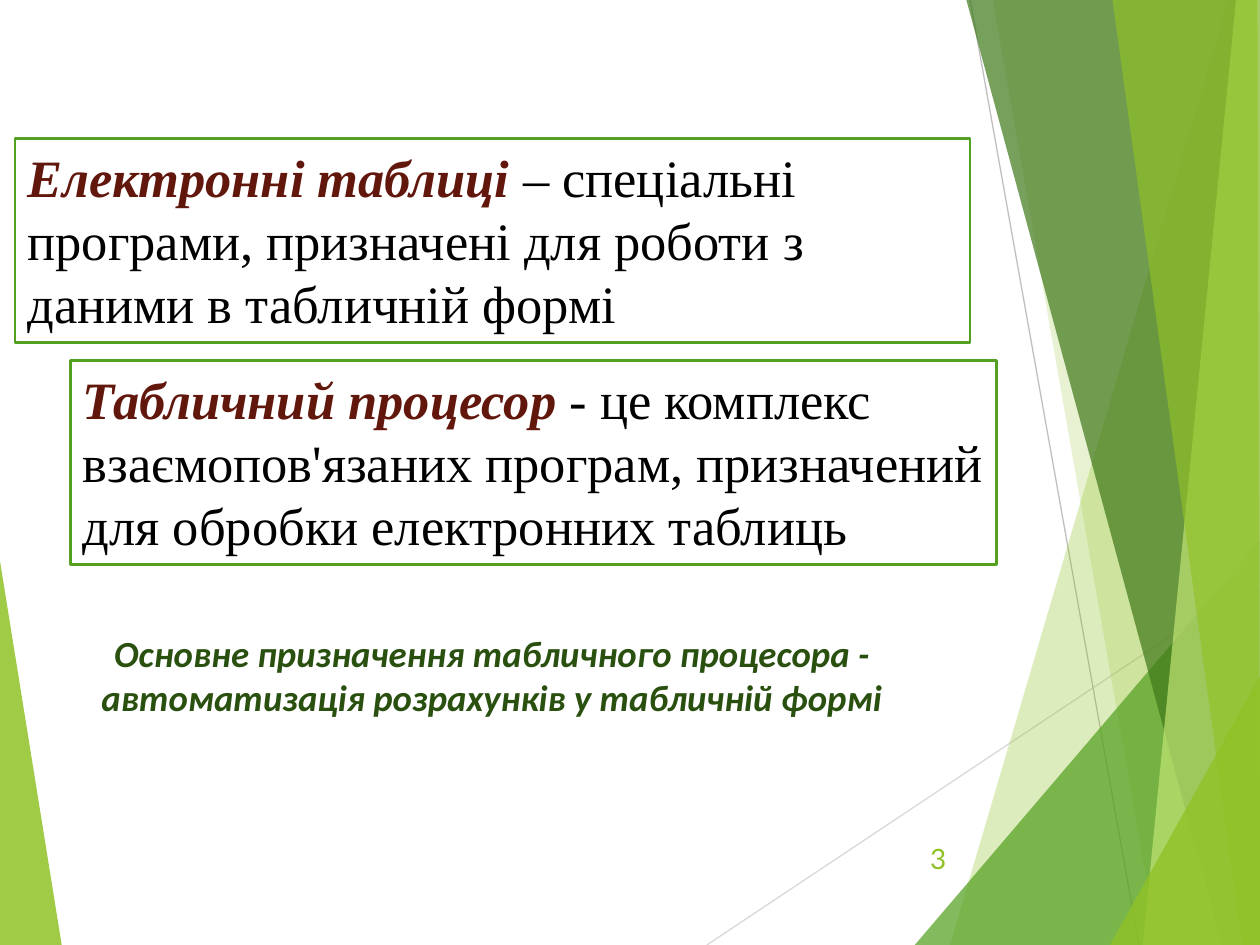
from typing import NamedTuple, Optional

from lxml.etree import SubElement
from pptx import Presentation
from pptx.dml.color import RGBColor
from pptx.enum.shapes import MSO_CONNECTOR, MSO_SHAPE
from pptx.enum.text import MSO_ANCHOR, PP_ALIGN
from pptx.oxml.ns import qn
from pptx.util import Inches, Pt

LIME, GREEN, MAROON = "90C226", "54A021", "62170D"


class Facet(NamedTuple):
    color: str
    opacity: int
    points: list[tuple[float, float]]


class Ray(NamedTuple):
    color: str
    start: tuple[float, float]
    end: tuple[float, float]


class Definition(NamedTuple):
    left: float
    top: float
    width: float
    term: str
    meaning: str


class Run(NamedTuple):
    text: str
    color: str
    emphasis: bool = False


LEFT_FACET = Facet(LIME, 85, [(-0.01, 4.39), (0.49, 7.5), (-0.01, 7.5)])
RAYS = [
    Ray("D9D9D9", (5.61, 7.5), (10.01, 4.57)),
    Ray("BFBFBF", (7.7, 0), (9.04, 7.5)),
]
RIGHT_FACETS = [
    Facet(LIME, 30, [(9.75, 0), (7.54, 7.5), (10.01, 7.5), (10.01, 0)]),
    Facet(LIME, 20, [(7.88, 0), (9.19, 7.5), (10.01, 7.5), (10.01, 0)]),
    Facet(GREEN, 72, [(7.26, 7.5), (10, 4.29), (10.01, 7.5)]),
    Facet("3F7819", 70, [(7.67, 0), (9.7, 7.5), (10.01, 7.5), (10.01, 0)]),
    Facet("C0E474", 70, [(9.81, 0), (9.07, 7.5), (10.01, 7.5), (10, 0)]),
    Facet(LIME, 65, [(8.83, 0), (9.86, 7.5), (10, 7.5), (9.98, 0)]),
    Facet(LIME, 80, [(8.81, 7.5), (10.01, 5.35), (10.01, 7.5)]),
]
DEFINITIONS = [
    Definition(0.12, 1.1, 7.58, "Електронні таблиці ",
               "– спеціальні програми, призначені для роботи з даними в табличній формі"),
    Definition(0.56, 2.86, 7.35, "Табличний процесор ",
               "- це комплекс взаємопов'язаних програм, призначений для обробки "
               "електронних таблиць"),
]


def rgb(color: str) -> RGBColor:
    return RGBColor.from_string(color)


def draw_facet(slide, facet: Facet) -> None:
    corners = [(Inches(x), Inches(y)) for x, y in facet.points]
    builder = slide.shapes.build_freeform(*corners[0])
    builder.add_line_segments(corners[1:], close=True)
    shape = builder.convert_to_shape()
    shape.shadow.inherit = False
    shape.line.fill.background()
    shape.fill.solid()
    shape.fill.fore_color.rgb = rgb(facet.color)
    color_xml = shape.fill._xPr.find(qn("a:solidFill"))[0]
    SubElement(color_xml, qn("a:alpha"), val=str(facet.opacity * 1000))


def draw_ray(slide, ray: Ray) -> None:
    line = slide.shapes.add_connector(
        MSO_CONNECTOR.STRAIGHT, *map(Inches, ray.start + ray.end))
    line.line.color.rgb = rgb(ray.color)
    line.line.width = Pt(0.75)
    SubElement(line._element.spPr, qn("a:effectLst"))


def write(shape, runs: list[Run], *, font: str, size: float,
          align: PP_ALIGN = PP_ALIGN.LEFT, anchor: MSO_ANCHOR = MSO_ANCHOR.TOP,
          spacing: Optional[Pt] = None) -> None:
    frame = shape.text_frame
    frame.word_wrap = True
    frame.vertical_anchor = anchor
    paragraph = frame.paragraphs[0]
    paragraph.alignment = align
    paragraph.line_spacing = spacing
    for part in runs:
        run = paragraph.add_run()
        run.text = part.text
        run.font.name = font
        run.font.size = Pt(size)
        run.font.bold = run.font.italic = part.emphasis
        run.font.color.rgb = rgb(part.color)


def draw_definition(slide, item: Definition) -> None:
    box = slide.shapes.add_shape(
        MSO_SHAPE.RECTANGLE,
        *map(Inches, (item.left, item.top, item.width, 1.62)))
    box.shadow.inherit = False
    box.fill.solid()
    box.fill.fore_color.rgb = rgb("FFFFFF")
    box.line.color.rgb = rgb(GREEN)
    box.line.width = Pt(1.5)
    write(box, [Run(item.term, MAROON, True), Run(item.meaning, "000000")],
          font="Times New Roman", size=30, spacing=Pt(36))


def main() -> None:
    deck = Presentation()
    deck.slide_width, deck.slide_height = Inches(10), Inches(7.5)
    slide = deck.slides.add_slide(deck.slide_layouts[6])

    draw_facet(slide, LEFT_FACET)
    for ray in RAYS:
        draw_ray(slide, ray)
    for facet in RIGHT_FACETS:
        draw_facet(slide, facet)
    for item in DEFINITIONS:
        draw_definition(slide, item)

    purpose = slide.shapes.add_textbox(*map(Inches, (0.27, 4.96, 7.27, 0.81)))
    write(purpose,
          [Run("Основне призначення табличного процесора - "
               "автоматизація розрахунків у табличній формі", "2A5010", True)],
          font="Calibri", size=21, align=PP_ALIGN.CENTER)

    page_number = slide.shapes.add_textbox(*map(Inches, (7.05, 6.61, 0.56, 0.4)))
    write(page_number, [Run("3", LIME)], font="Lato", size=16,
          align=PP_ALIGN.RIGHT, anchor=MSO_ANCHOR.MIDDLE)

    deck.save("out.pptx")


if __name__ == "__main__":
    main()
